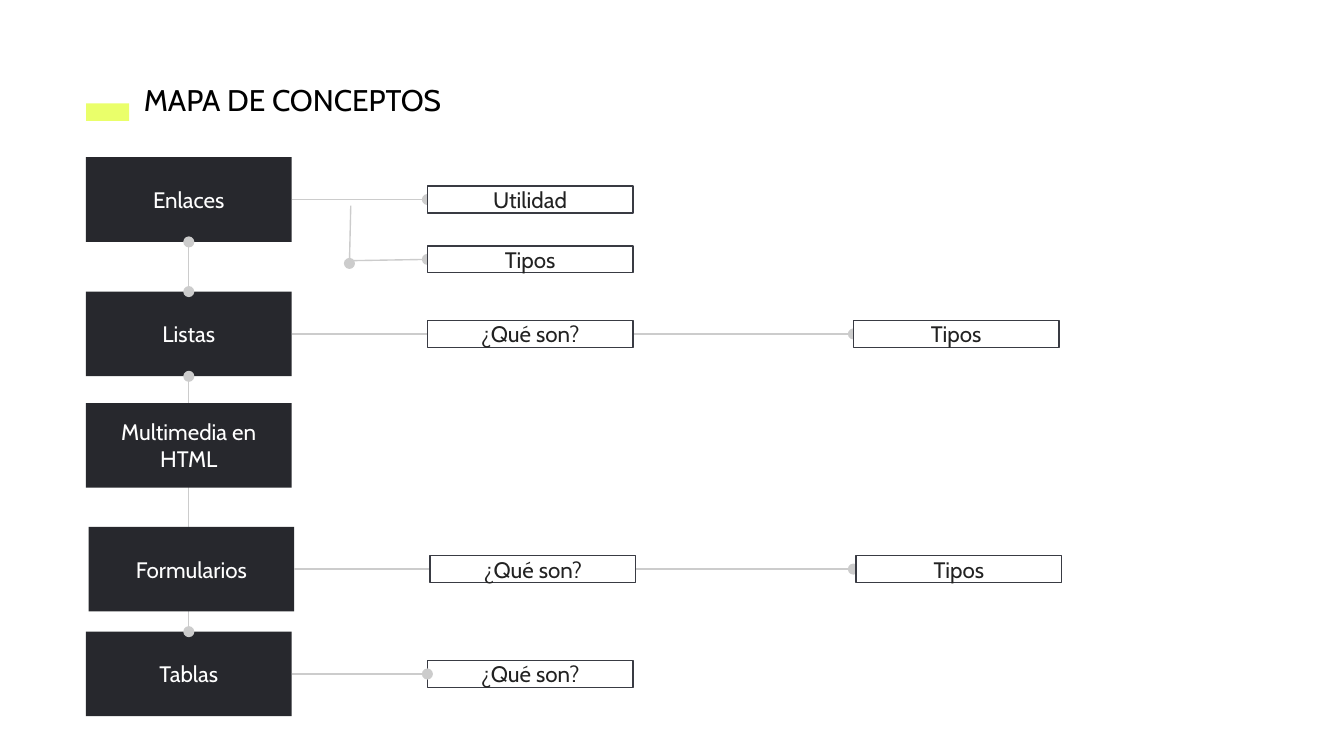
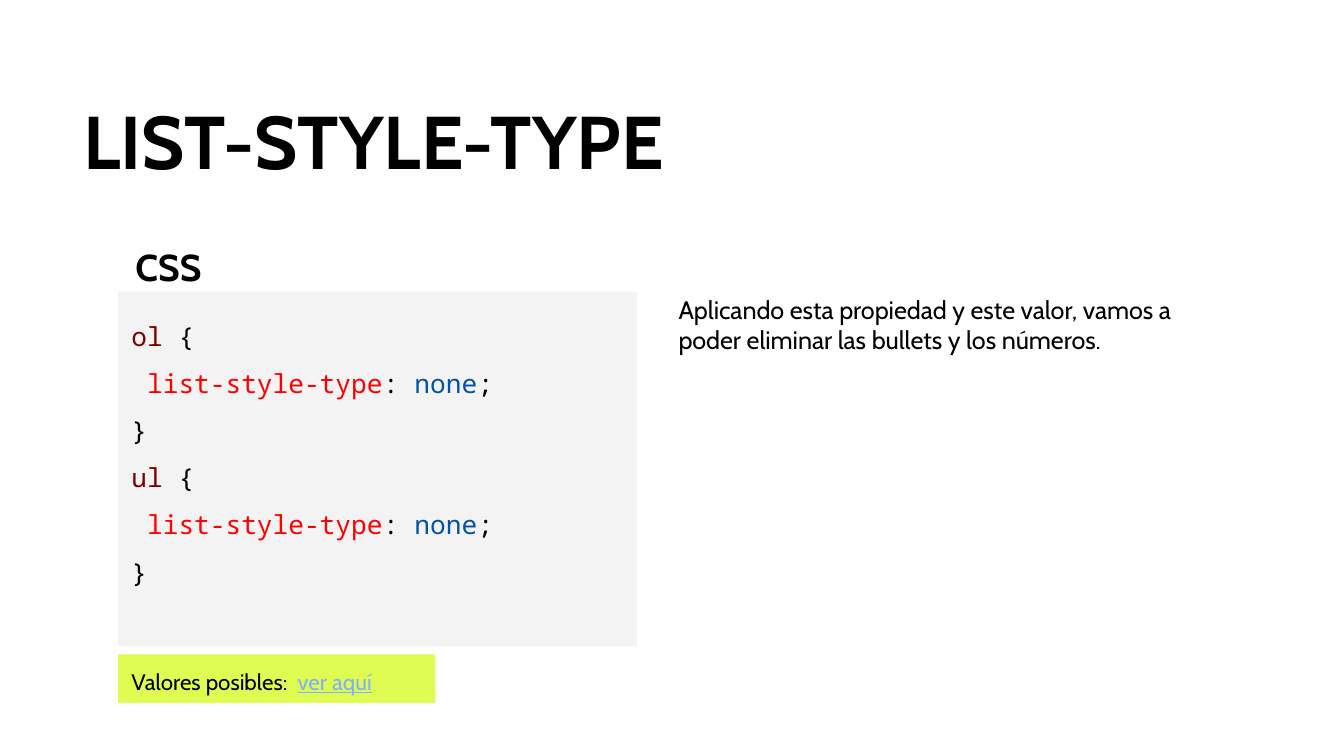
from dataclasses import dataclass

from lxml import etree
from pptx import Presentation
from pptx.dml.color import RGBColor
from pptx.enum.shapes import MSO_CONNECTOR, MSO_SHAPE
from pptx.enum.text import MSO_ANCHOR, MSO_AUTO_SIZE, PP_ALIGN
from pptx.oxml.ns import qn
from pptx.util import Inches, Pt

RECT = MSO_SHAPE.RECTANGLE
STRAIGHT, ELBOW = MSO_CONNECTOR.STRAIGHT, MSO_CONNECTOR.ELBOW
LEFT, CENTER = PP_ALIGN.LEFT, PP_ALIGN.CENTER
TOP, MIDDLE = MSO_ANCHOR.TOP, MSO_ANCHOR.MIDDLE
FIXED = MSO_AUTO_SIZE.NONE
UP, WEST, DOWN, EAST = range(4)


@dataclass(frozen=True)
class Theme:
    """Colours, fonts and type sizes of the deck."""
    black: str = "000000"
    white: str = "FFFFFF"
    dark: str = "27282D"
    edge: str = "393B43"
    ink: str = "222222"
    wire: str = "CCCCCC"
    mark: str = "EAFF6A"
    note: str = "DEFC52"
    panel: str = "F3F3F3"
    link: str = "83AEFB"
    tag: str = "800000"
    prop: str = "FF0000"
    value: str = "0451A5"
    face: str = "Cabin"
    mono: str = "Noto Sans Mono"
    label: float = 12
    body: float = 13.5
    code: float = 14
    head: float = 16
    sub: float = 20
    big: float = 40
    thin: float = 0.75


T = Theme()
TOPIC_W, TOPIC_H, PILL_H = 1.53, 0.63, 0.2
PILL_DY = (TOPIC_H - PILL_H) / 2
COLS = (0.64, 3.18, 6.35)
REACH = 1.64


def rgb(code):
    """Turn a hex code into a colour."""
    return RGBColor.from_string(code)


def write(shape, lines, size, color=T.black, face=T.face, bold=False,
          align=LEFT, anchor=TOP, space=None):
    """Fill a shape with lines, each a string or a list of (text, colour)."""
    frame = shape.text_frame
    frame.word_wrap, frame.auto_size = True, FIXED
    frame.vertical_anchor = anchor
    frame.margin_left = frame.margin_right = Inches(0.1)
    frame.margin_top = frame.margin_bottom = Inches(0.1)
    for i, line in enumerate(lines):
        para = frame.add_paragraph() if i else frame.paragraphs[0]
        para.alignment = align
        if space:
            para.line_spacing = space
        font = para.font
        font.name, font.size, font.bold = face, Pt(size), bold
        font.color.rgb = rgb(color)
        for text, tint in [(line, None)] if isinstance(line, str) else line:
            run = para.add_run()
            run.text = text
            if tint:
                run.font.color.rgb = rgb(tint)


def block(shapes, box, fill, edge=None):
    """Add a flat rectangle."""
    shape = shapes.add_shape(RECT, *map(Inches, box))
    shape.shadow.inherit = False
    shape.fill.solid()
    shape.fill.fore_color.rgb = rgb(fill)
    if edge:
        shape.line.color.rgb = rgb(edge)
        shape.line.width = Pt(T.thin)
    else:
        shape.line.fill.background()
    return shape


def note(shapes, box, lines, size, **style):
    """Add a text box."""
    write(shapes.add_textbox(*map(Inches, box)), lines, size, **style)


def title(slide, box, text, size, **style):
    """Place and format the title placeholder."""
    shape = slide.shapes.title
    shape.left, shape.top, shape.width, shape.height = map(Inches, box)
    write(shape, [text], size, **style)


def topic(slide, y, text, dx=0):
    """Add a dark topic box in the first column."""
    shape = block(slide.shapes, (COLS[0] + dx, y, TOPIC_W, TOPIC_H), T.dark)
    write(shape, [text], T.label, T.white, align=CENTER, anchor=MIDDLE)
    return shape


def pill(slide, x, y, text):
    """Add an outlined concept box."""
    shape = block(slide.shapes, (x, y, TOPIC_W, PILL_H), T.white, T.edge)
    write(shape, [text], T.label, T.ink, align=CENTER, anchor=MIDDLE)
    return shape


def wire(slide, start, end, kind=STRAIGHT, both=False):
    """Add a grey line with a dot at its end, or at both ends."""
    line = slide.shapes.add_connector(kind, *map(Inches, start + end))
    line.line.color.rgb = rgb(T.wire)
    line.line.width = Pt(T.thin)
    props = line.line._get_or_add_ln()
    for name in ("a:headEnd", "a:tailEnd") if both else ("a:tailEnd",):
        etree.SubElement(props, qn(name), type="oval")
    etree.SubElement(line._element.spPr, qn("a:effectLst"))
    return line


def join(slide, first, start, last, end, both=False):
    """Join the sides of two boxes."""
    line = wire(slide, (0, 0), (1, 1), both=both)
    line.begin_connect(first, start)
    line.end_connect(last, end)


def branch(slide, root, x, y, text):
    """Add a concept box with a line from its topic tucked behind it."""
    line = wire(slide, (0, 0), (1, 1))
    line.begin_connect(root, EAST)
    line.end_connect(pill(slide, x, y, text), WEST)


def chain(slide, y, dx=0):
    """Add the two linked concept boxes of a topic."""
    mid = y + TOPIC_H / 2
    for x in (COLS[0] + TOPIC_W + dx, COLS[1] + TOPIC_W):
        wire(slide, (x, mid), (x + REACH, mid), ELBOW)
    for x, text in zip(COLS[1:], ("¿Qué son?", "Tipos")):
        pill(slide, x + dx, y + PILL_DY, text)


def concepts(slide):
    """Build the concept map."""
    block(slide.shapes, (COLS[0], 0.77, 0.32, 0.13), T.mark)
    title(slide, (0.97, 0.51, 2.69, 0.47), "MAPA DE CONCEPTOS", T.head)
    tables = topic(slide, 4.7, "Tablas")
    lists = topic(slide, 2.17, "Listas")
    links = topic(slide, 1.17, "Enlaces")
    join(slide, tables, UP, lists, DOWN, both=True)
    what = pill(slide, COLS[1], 4.7 + PILL_DY, "¿Qué son?")
    join(slide, tables, EAST, what, WEST)
    chain(slide, 2.17)
    topic(slide, 3, "Multimedia en HTML")
    branch(slide, links, COLS[1], 1.17 + PILL_DY, "Utilidad")
    line = wire(slide, (2.6, 1.94), (COLS[1], 1.94))
    line.end_connect(pill(slide, COLS[1], 1.83, "Tipos"), WEST)
    wire(slide, (2.61, 1.53), (2.6, 1.96))
    join(slide, lists, UP, links, DOWN, both=True)
    topic(slide, 3.92, "Formularios", 0.02)
    chain(slide, 3.92, 0.02)


def sample(slide, x, y):
    """Add the code panel and its heading as a group."""
    shapes = slide.shapes.add_group_shape().shapes
    lines = []
    for tag in ("ol", "ul"):
        lines += [[(tag, T.tag), (" {", None)],
                  [(" ", None), ("list-style-type", T.prop), (": ", None),
                   ("none", T.value), (";", None)],
                  "}"]
    panel = block(shapes, (x, y, 3.86, 2.64), T.panel)
    write(panel, lines, T.code, face=T.mono, space=1.5)
    note(shapes, (x + 0.03, y - 0.45, 1.24, 0.49), ["CSS"], T.sub, bold=True)


def styles(slide):
    """Build the list-style-type slide."""
    title(slide, (0.52, 0.68, 8.9, 0.81), "LIST-STYLE-TYPE", T.big,
          bold=True, space=0.9)
    note(slide.shapes, (4.95, 2.09, 4.19, 0.66),
         ["Aplicando esta propiedad y este valor, vamos a poder eliminar "
          "las bullets y los números."], T.body)
    sample(slide, 0.88, 2.17)
    strip = block(slide.shapes, (0.88, 4.87, 2.36, 0.36), T.note)
    write(strip, [[("Valores posibles:  ", None), ("ver aquí", T.link)]], T.label)
    strip.text_frame.paragraphs[0].runs[1].font.underline = True


def main():
    """Build and save the deck."""
    deck = Presentation()
    deck.slide_width = Inches(10)
    deck.slide_height = deck.slide_width * 9 // 16
    for build in (concepts, styles):
        build(deck.slides.add_slide(deck.slide_layouts[5]))
    deck.save("out.pptx")


if __name__ == "__main__":
    main()
